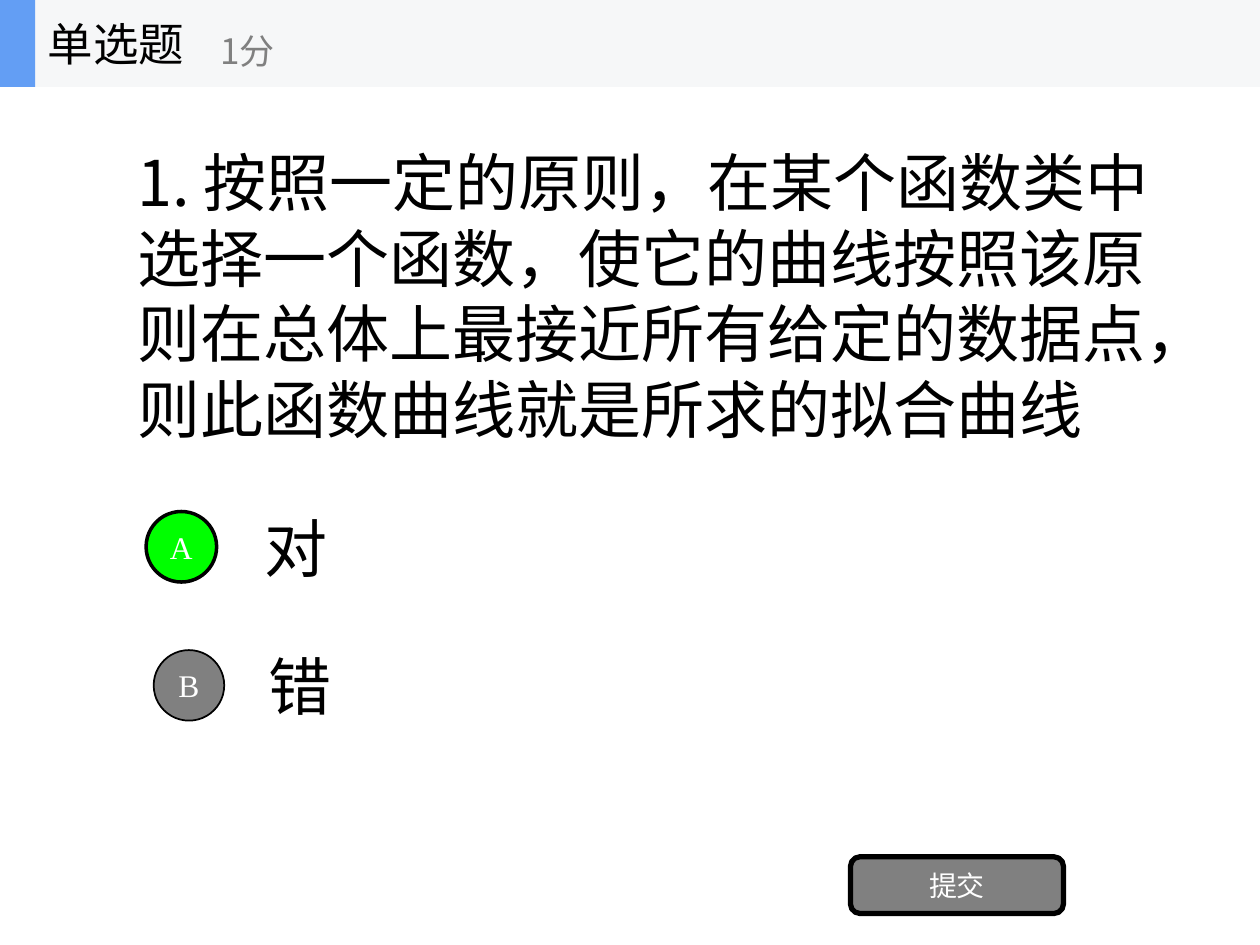
from dataclasses import dataclass

from lxml.etree import SubElement
from pptx import Presentation
from pptx.dml.color import RGBColor
from pptx.enum.shapes import MSO_SHAPE
from pptx.enum.text import MSO_ANCHOR, PP_ALIGN
from pptx.oxml.ns import qn
from pptx.util import Inches, Pt


@dataclass(frozen=True)
class Theme:
    black: str = "000000"
    white: str = "FFFFFF"
    gray: str = "808080"
    green: str = "00FF00"
    blue: str = "639EF4"
    band: str = "F6F7F8"
    sans: str = "Noto Sans CJK SC"
    serif: str = "Times New Roman"
    body: int = 36
    title: int = 26
    score: int = 20
    mark: int = 18
    button: int = 16


THEME = Theme()


def write(shape, text, size, color, font=THEME.sans, align=PP_ALIGN.LEFT, inset=0.1):
    frame = shape.text_frame
    frame.word_wrap = True
    frame.vertical_anchor = MSO_ANCHOR.MIDDLE
    frame.margin_left = frame.margin_right = Inches(inset)
    para = frame.paragraphs[0]
    para.alignment = align
    run = para.add_run()
    run.text = text
    run.font.size = Pt(size)
    run.font.name = font
    run.font.color.rgb = RGBColor.from_string(color)
    # Chinese glyphs take their face from the East Asian font slot
    SubElement(run.font._element, qn("a:ea"), typeface=THEME.sans)


def add_text(shapes, box, text, size, color=THEME.black, font=THEME.sans):
    label = shapes.add_textbox(*map(Inches, box))
    write(label, text, size, color, font)


def add_block(shapes, kind, box, fill, line=0):
    """Add a filled shape, outlined in black when line is above zero."""
    shape = shapes.add_shape(kind, *map(Inches, box))
    shape.shadow.inherit = False
    shape.fill.solid()
    shape.fill.fore_color.rgb = RGBColor.from_string(fill)
    if line:
        shape.line.color.rgb = RGBColor.from_string(THEME.black)
        shape.line.width = Pt(line)
    else:
        shape.line.fill.background()
    return shape


def add_header(slide, box, title, score):
    left, top, width, height = box
    tab = 0.28
    shapes = slide.shapes.add_group_shape().shapes
    add_block(shapes, MSO_SHAPE.RECTANGLE, box, THEME.band)
    add_block(shapes, MSO_SHAPE.RECTANGLE, (left, top, tab, height), THEME.blue)
    add_text(shapes, (left + tab, top, 1.39, height), title, THEME.title,
             font=THEME.serif)
    add_text(shapes, (left + 1.65, top + 0.12, 2.5, 0.56), score, THEME.score,
             THEME.gray)


def add_choice(slide, box, mark, text, fill, line, gap):
    """Add an answer row: a lettered circle, then its text after a gap."""
    left, top, width, height = box
    size = 0.56
    add_text(slide.shapes, (left + gap, top, width - gap, height), text, THEME.body)
    disc = (left, top + (height - size) / 2, size, size)
    circle = add_block(slide.shapes, MSO_SHAPE.OVAL, disc, fill, line)
    write(circle, mark, THEME.mark, THEME.white, THEME.serif, PP_ALIGN.CENTER, 0)


def add_button(slide, box, text):
    button = add_block(slide.shapes, MSO_SHAPE.ROUNDED_RECTANGLE, box, THEME.gray, 3)
    write(button, text, THEME.button, THEME.white, THEME.serif, PP_ALIGN.CENTER)


def main():
    deck = Presentation()
    deck.slide_width, deck.slide_height = Inches(10), Inches(7.5)
    slide = deck.slides.add_slide(deck.slide_layouts[6])

    add_text(slide.shapes, (0.99, 0.69, 8.34, 3.3),
             "1. 按照一定的原则，在某个函数类中选择一个函数，使它的曲线按照该原则"
             "在总体上最接近所有给定的数据点，则此函数曲线就是所求的拟合曲线",
             THEME.body)
    add_choice(slide, (1.16, 3.99, 7.84, 0.7), "A", "对", THEME.green, 2, 0.84)
    add_choice(slide, (1.22, 5.09, 7.81, 0.7), "B", "错", THEME.gray, 1, 0.81)
    add_button(slide, (6.75, 6.8, 1.69, 0.45), "提交")
    add_header(slide, (0, 0, 10, 0.69), "单选题", "1分")

    deck.save("out.pptx")


if __name__ == "__main__":
    main()
